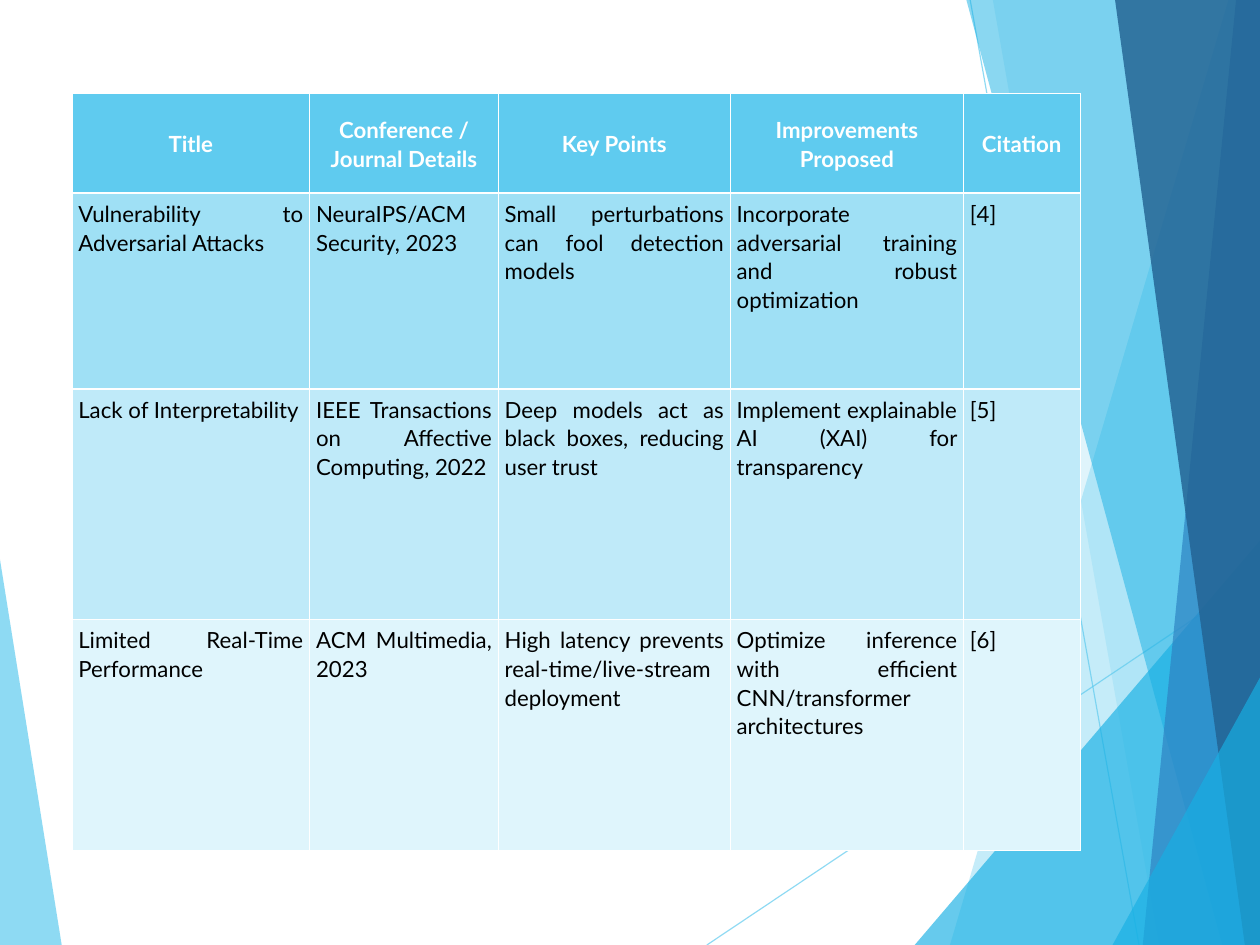
import lxml.etree
import pptx
import pptx.dml.color
import pptx.enum.shapes
import pptx.enum.text
import pptx.oxml
import pptx.oxml.ns
import pptx.util

RGB = pptx.dml.color.RGBColor
SKY = RGB(0x5F, 0xCB, 0xEF)
CYAN = RGB(0x17, 0xB0, 0xE4)
BLUE = RGB(0x2E, 0x83, 0xC3)
NAVY = RGB(0x23, 0x62, 0x92)
WHITE = RGB(0xFF, 0xFF, 0xFF)
BLACK = RGB(0x00, 0x00, 0x00)
TINTS = [RGB(0x9F, 0xE0, 0xF5), RGB(0xBF, 0xEA, 0xF9), RGB(0xDF, 0xF5, 0xFC)]

HEAD = ["Title", "Conference / Journal Details", "Key Points",
        "Improvements Proposed", "Citation"]
BODY = [
    ["Vulnerability to Adversarial Attacks", "NeuraIPS/ACM Security, 2023",
     "Small perturbations can fool detection models",
     "Incorporate adversarial training and robust optimization", "[4]"],
    ["Lack of Interpretability", "IEEE Transactions on Affective Computing, 2022",
     "Deep models act as black boxes, reducing user trust",
     "Implement explainable AI (XAI) for transparency", "[5]"],
    ["Limited Real-Time Performance", "ACM Multimedia, 2023",
     "High latency prevents real-time/live-stream deployment",
     "Optimize inference with efficient CNN/transformer architectures", "[6]"],
]
COLS = [2.08, 1.65, 2.03, 2.04, 1.02]
TALL = [1.71, 2.02, 2.02]
LEFT, TOP, CAP = 0.63, 0.82, 0.87
THIN, THICK = 0.45, 1.47

RAYS = [(56.1, 100, 100, 60.8), (77, 0, 90.4, 100)]
SHARDS = [
    (SKY, 70, [(0, 59.2), (4.9, 100), (0, 100)]),
    (SKY, 36, [(97.5, 0), (75.4, 100), (100, 100), (100, 0)]),
    (SKY, 20, [(78.8, 0), (92, 100), (100, 100), (100, 0)]),
    (CYAN, 66, [(72.6, 100), (100, 57.2), (100, 100)]),
    (CYAN, 50, [(76.7, 0), (97, 100), (100, 100), (100, 0)]),
    (BLUE, 70, [(98.1, 0), (90.7, 100), (100, 100), (100, 0)]),
    (NAVY, 82, [(88.5, 0), (98.8, 100), (100, 100), (100, 0)]),
    (CYAN, 66, [(88.3, 100), (100, 71.7), (100, 100)]),
]

Inch, Pt, Cm = pptx.util.Inches, pptx.util.Pt, pptx.util.Cm
qn = pptx.oxml.ns.qn
ALIGN = pptx.enum.text.PP_ALIGN
ANCHOR = pptx.enum.text.MSO_ANCHOR

deck = pptx.Presentation()
deck.slide_width, deck.slide_height = Cm(28), Cm(21)
slide = deck.slides.add_slide(deck.slide_layouts[6])
shapes = slide.shapes


def spot(x, y):
    return round(deck.slide_width * x / 100), round(deck.slide_height * y / 100)


def fade(shape, share):
    for tint in shape._element.spPr.iter(qn("a:srgbClr")):
        lxml.etree.SubElement(tint, qn("a:alpha")).set("val", str(share * 1000))


def draw_ray(x1, y1, x2, y2):
    kind = pptx.enum.shapes.MSO_CONNECTOR.STRAIGHT
    ray = shapes.add_connector(kind, *spot(x1, y1), *spot(x2, y2))
    ray.line.color.rgb = SKY
    ray.line.width = Pt(0.75)
    fade(ray, 70)
    lxml.etree.SubElement(ray._element.spPr, qn("a:effectLst"))


def draw_shard(tint, share, ends):
    first, *rest = [spot(*end) for end in ends]
    pen = shapes.build_freeform(*first)
    pen.add_line_segments(rest, close=True)
    shard = pen.convert_to_shape()
    shard.shadow.inherit = False
    shard.fill.solid()
    shard.fill.fore_color.rgb = tint
    shard.line.fill.background()
    fade(shard, share)


def edge(cell, top, base):
    props = cell._tc.get_or_add_tcPr()
    for side, size in zip("LRTB", (THIN, THIN, top, base)):
        line = lxml.etree.SubElement(props, qn("a:ln" + side), w=str(int(Pt(size))))
        fill = lxml.etree.SubElement(line, qn("a:solidFill"))
        lxml.etree.SubElement(fill, qn("a:srgbClr"), val=str(WHITE))


def fill_cell(cell, text, tint, ink, bold, align, anchor, pad):
    cell.fill.solid()
    cell.fill.fore_color.rgb = tint
    cell.vertical_anchor = anchor
    cell.margin_left = cell.margin_right = Pt(pad)
    cell.margin_top = cell.margin_bottom = Inch(0.05)
    cell.text_frame.text = text
    para = cell.text_frame.paragraphs[0]
    para.alignment = align
    para.line_spacing = 1.07
    para.space_after = Pt(8)
    font = para.runs[0].font
    font.name, font.size, font.bold = "Lato", Pt(14), bold
    font.color.rgb = ink


def add_grid(top, rows, tall, tints, *look):
    frame = shapes.add_table(len(rows), len(COLS), Inch(LEFT), Inch(top),
                             Inch(sum(COLS)), Inch(sum(tall)))
    grid = frame.table
    grid.first_row = grid.horz_banding = False
    for col, wide in zip(grid.columns, COLS):
        col.width = Inch(wide)
    for r, texts in enumerate(rows):
        grid.rows[r].height = Inch(tall[r])
        for c, text in enumerate(texts):
            cell = grid.cell(r, c)
            edge(cell, THICK if r == 1 else THIN, THICK if r == 0 else THIN)
            fill_cell(cell, text, tints[r], *look)


for ray in RAYS:
    draw_ray(*ray)
for shard in SHARDS:
    draw_shard(*shard)
add_grid(TOP + CAP, BODY, TALL, TINTS, BLACK, False, ALIGN.JUSTIFY, ANCHOR.TOP, 4)
add_grid(TOP, [HEAD], [CAP], [SKY], WHITE, True, ALIGN.CENTER, ANCHOR.MIDDLE, 3.6)
deck.save("out.pptx")
